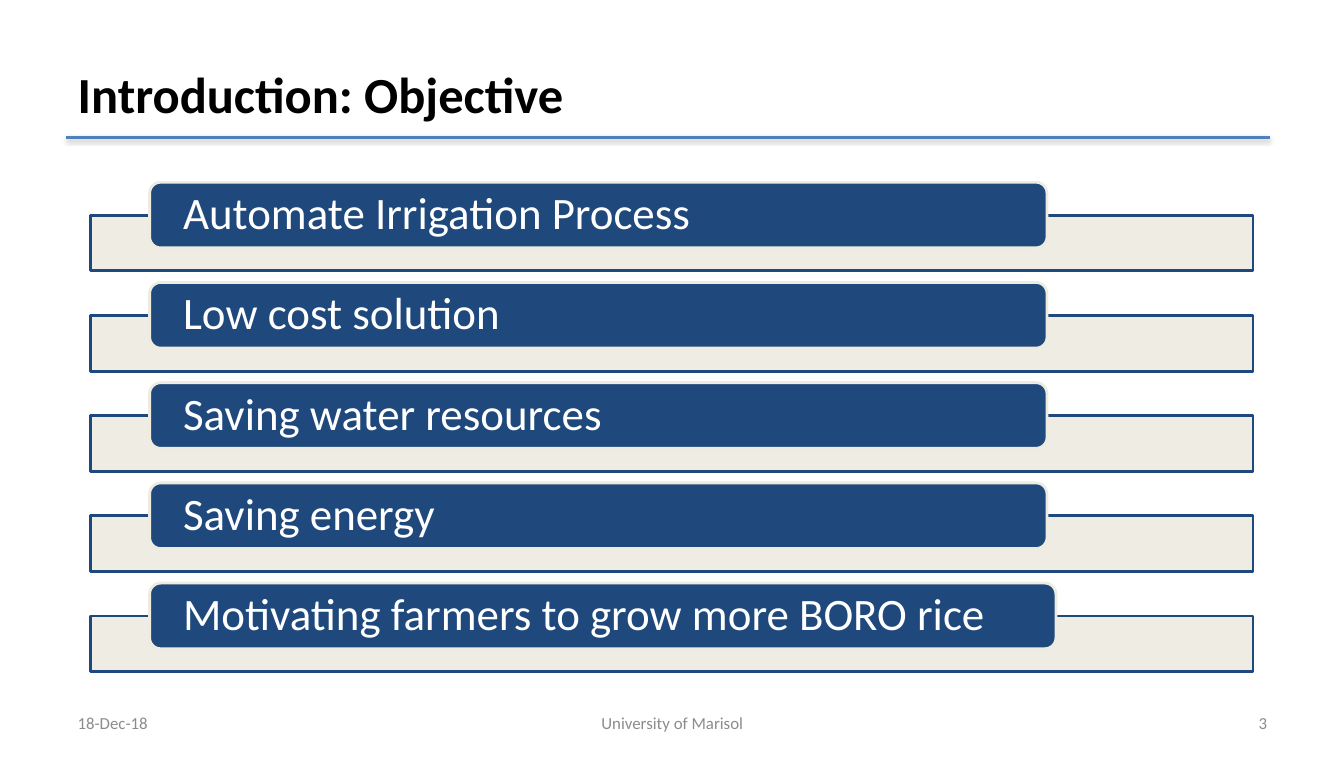
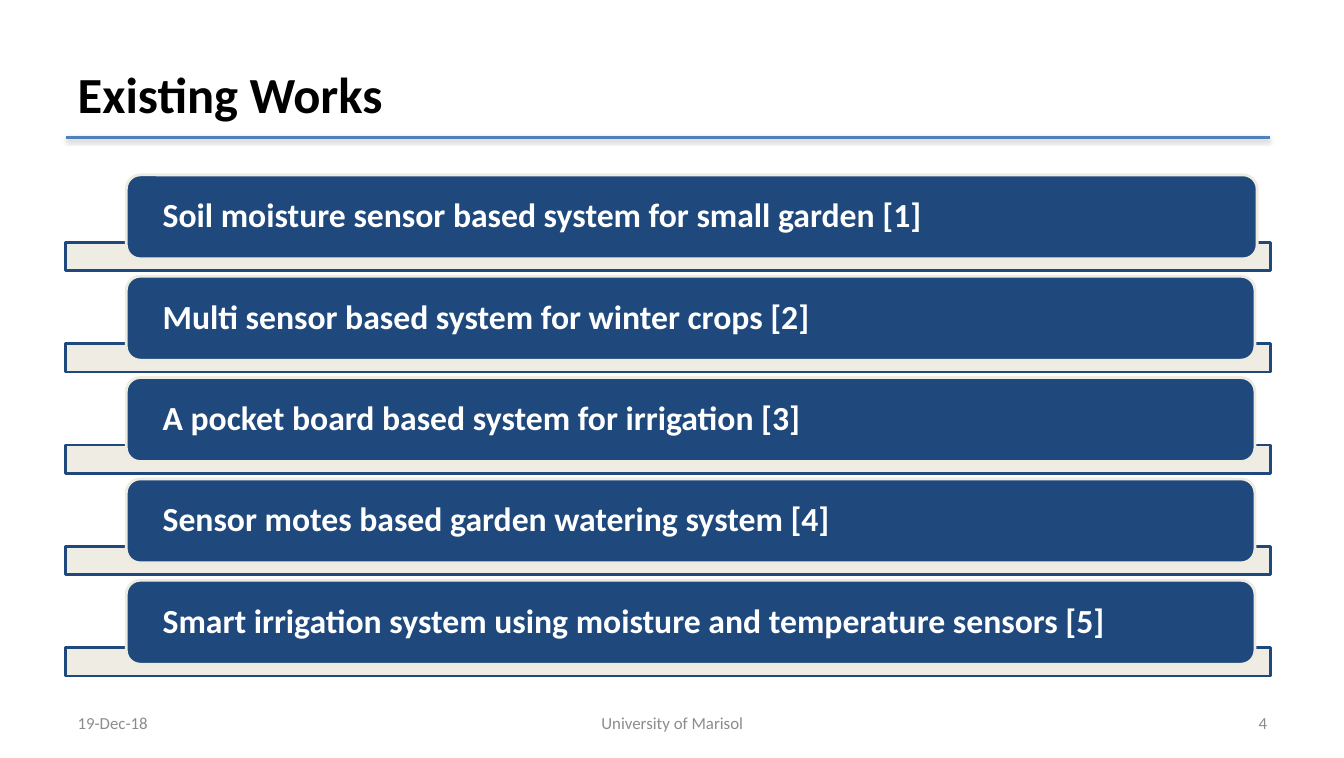
from dataclasses import dataclass

from lxml import etree
from pptx import Presentation
from pptx import util as u
from pptx.dml import color
from pptx.enum import shapes, text
from pptx.oxml import ns

Pt = u.Pt
LEFT, CENTER, RIGHT = text.PP_ALIGN.LEFT, text.PP_ALIGN.CENTER, text.PP_ALIGN.RIGHT


@dataclass(frozen=True)
class Theme:
    """Colours and type sizes shared by the slides."""
    font: str = "Calibri"
    title: str = "000000"
    navy: str = "1F497D"
    cream: str = "EEECE1"
    white: str = "FFFFFF"
    rule: str = "4F81BD"
    footer: str = "8C8C8C"
    title_size: float = 36
    footer_size: float = 12
    line_width: float = 2


@dataclass(frozen=True)
class ListStyle:
    """Geometry and type of a stack of labelled bars, in points."""
    box: tuple
    pitch: float
    bar_height: float
    pill_height: float
    pill_indent: float
    pill_widths: tuple
    inset: float
    size: float
    bold: bool


THEME = Theme()
FOOTER_TEXT = "University of Marisol"
TITLE_BOX = (48.2, 21.6, 861.8, 90)
RULE_BOX = (46.8, 97.9, 858.2, 0)
FOOTER_BOX = (48.2, 500.4, 861.8, 28.8)

OBJECTIVES = ListStyle(
    box=(64.8, 129.8, 828), pitch=71.4, bar_height=39.7, pill_height=46.8,
    pill_indent=41.8, pill_widths=(639.4, 639.4, 639.4, 639.4, 645.8),
    inset=21.6, size=32, bold=False)
WORKS = ListStyle(
    box=(46.8, 124.6, 858.2), pitch=72.2, bar_height=20.2, pill_height=59.8,
    pill_indent=43.2, pill_widths=(805.7, 804.2, 804.2, 804.2, 804.2),
    inset=23, size=24, bold=True)

SLIDES = (
    ("Introduction: Objective", "18-Dec-18", 3, OBJECTIVES, (
        "Automate Irrigation Process",
        "Low cost solution",
        "Saving water resources",
        "Saving energy",
        "Motivating farmers to grow more BORO rice")),
    ("Existing Works", "19-Dec-18", 4, WORKS, (
        "Soil moisture sensor based system for small garden [1]",
        "Multi sensor based system for winter crops [2]",
        "A pocket board based system for irrigation [3]",
        "Sensor motes based garden watering system [4]",
        "Smart irrigation system using moisture and temperature sensors [5]")),
)


def rgb(value):
    """Turn a hex string into a colour."""
    return color.RGBColor.from_string(value)


def apply(target, values):
    """Set each named attribute of the target."""
    for name, value in values.items():
        setattr(target, name, value)


def write(shape, words, size, ink, align=LEFT, bold=False, inset=7.2, margin=3.6, spacing=1):
    """Put one formatted paragraph into a shape."""
    frame = shape.text_frame
    frame.text = words
    apply(frame, {
        "word_wrap": True, "vertical_anchor": text.MSO_ANCHOR.MIDDLE,
        "margin_left": Pt(inset), "margin_right": Pt(inset),
        "margin_top": Pt(margin), "margin_bottom": Pt(margin)})
    paragraph = frame.paragraphs[0]
    apply(paragraph, {"alignment": align, "line_spacing": spacing})
    font = paragraph.runs[0].font
    apply(font, {"name": THEME.font, "size": Pt(size), "bold": bold})
    font.color.rgb = rgb(ink)


def add_block(slide, kind, box, fill, outline):
    """Add a filled and outlined preset shape without a shadow."""
    shape = slide.shapes.add_shape(kind, *map(Pt, box))
    shape.shadow.inherit = False
    shape.fill.solid()
    shape.fill.fore_color.rgb = rgb(fill)
    shape.line.color.rgb = rgb(outline)
    shape.line.width = Pt(THEME.line_width)
    return shape


def set_alpha(parent, percent):
    """Give the colour inside an XML element an opacity."""
    shade = parent.find(".//" + ns.qn("a:srgbClr"))
    etree.SubElement(shade, ns.qn("a:alpha")).set("val", str(percent * 1000))


def add_title(slide, box, words):
    """Place and format the title placeholder."""
    title = slide.shapes.title
    apply(title, dict(zip(("left", "top", "width", "height"), map(Pt, box))))
    write(title, words, THEME.title_size, THEME.title, bold=True)


def add_rule(slide, box):
    """Draw the shadowed line below the title."""
    left, top, width, height = box
    line = slide.shapes.add_connector(
        shapes.MSO_CONNECTOR.STRAIGHT, *map(Pt, (left, top, left + width, top + height)))
    line.line.color.rgb = rgb(THEME.rule)
    line.line.width = Pt(THEME.line_width)
    properties = line._element.spPr
    effects = etree.SubElement(properties, ns.qn("a:effectLst"))
    shadow = etree.SubElement(effects, ns.qn("a:outerShdw"), {
        "blurRad": str(Pt(3.1)), "dist": str(Pt(1.6)), "dir": "5400000", "rotWithShape": "0"})
    etree.SubElement(shadow, ns.qn("a:srgbClr"), val="000000")
    set_alpha(effects, 38)


def add_footer(slide, box, date, number):
    """Place date, centred name and slide number along a band."""
    left, top, width, height = box
    side, middle = 223.2, 303.2
    parts = (
        (date, 0, side, LEFT),
        (FOOTER_TEXT, (width - middle) / 2, middle, CENTER),
        (str(number), width - side, side, RIGHT))
    for words, offset, part_width, align in parts:
        label = slide.shapes.add_textbox(*map(Pt, (left + offset, top, part_width, height)))
        write(label, words, THEME.footer_size, THEME.footer, align)


def add_bar_list(slide, style, items):
    """Stack bars, each overlapped by a rounded label that ends above its foot."""
    left, top, width = style.box
    bar_offset = 23.5 if style is OBJECTIVES else 48
    for index, (words, pill_width) in enumerate(zip(items, style.pill_widths)):
        row_top = top + index * style.pitch
        bar = add_block(
            slide, shapes.MSO_SHAPE.RECTANGLE,
            (left, row_top + bar_offset, width, style.bar_height), THEME.cream, THEME.navy)
        set_alpha(bar._element.spPr.find(ns.qn("a:solidFill")), 90)
        pill = add_block(
            slide, shapes.MSO_SHAPE.ROUNDED_RECTANGLE,
            (left + style.pill_indent, row_top, pill_width, style.pill_height),
            THEME.navy, THEME.cream)
        write(pill, words, style.size, THEME.white, bold=style.bold,
              inset=style.inset, margin=0, spacing=0.9)


def add_list_slide(presentation, title, date, number, style, items):
    """Build one titled slide with its list and footer."""
    slide = presentation.slides.add_slide(presentation.slide_layouts[5])
    add_title(slide, TITLE_BOX, title)
    add_bar_list(slide, style, items)
    add_footer(slide, FOOTER_BOX, date, number)
    add_rule(slide, RULE_BOX)


def main():
    """Build and save the presentation."""
    presentation = Presentation()
    apply(presentation, {"slide_width": Pt(957.6), "slide_height": Pt(540)})
    for content in SLIDES:
        add_list_slide(presentation, *content)
    presentation.save("out.pptx")


if __name__ == "__main__":
    main()
